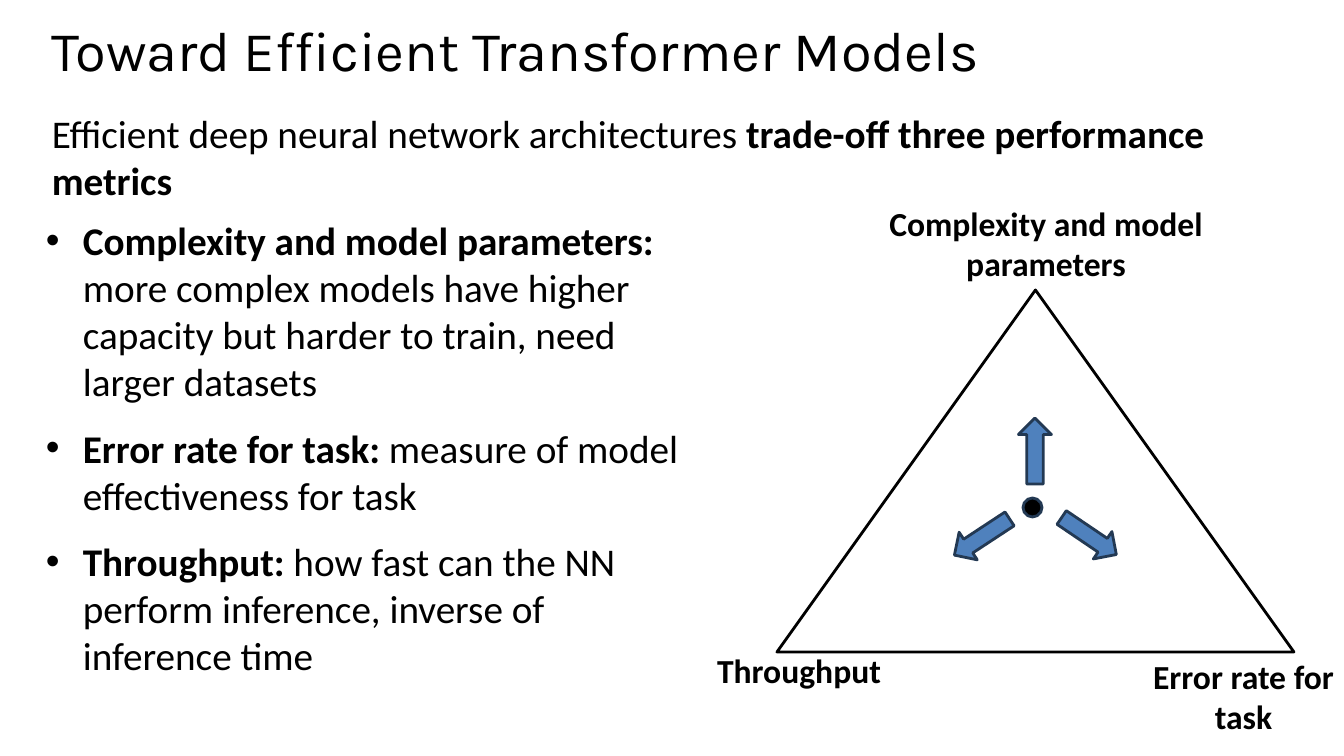
from pptx import Presentation
from pptx.dml.color import RGBColor
from pptx.enum.shapes import MSO_SHAPE as Shape
from pptx.enum.text import MSO_ANCHOR as Anchor, PP_ALIGN as Align
from pptx.oxml.ns import qn
from pptx.util import Pt
from lxml import etree

PX = 914400 / 100.8
BLACK = RGBColor(0x00, 0x00, 0x00)
NAVY = RGBColor(0x23, 0x39, 0x53)
BLUE = RGBColor(0x4F, 0x81, 0xBD)
BULLET_INDENT = 37
ARROW_LENGTH, ARROW_WIDTH = 66, 33

deck = Presentation()
deck.slide_width, deck.slide_height = round(1344 * PX), round(756 * PX)
slide = deck.slides.add_slide(deck.slide_layouts[6])


def add_text(box, paragraphs, size, font="Calibri", align=Align.LEFT, bullets=False):
    """Write paragraphs, each a list of (text, bold) runs, into a box given in px."""
    frame = slide.shapes.add_textbox(*(round(v * PX) for v in box)).text_frame
    frame.word_wrap = True
    for i, runs in enumerate(paragraphs):
        paragraph = frame.add_paragraph() if i else frame.paragraphs[0]
        paragraph.alignment = align
        if i:
            paragraph.space_before = Pt(14)
        if bullets:
            properties = paragraph._p.get_or_add_pPr()
            indent = round(BULLET_INDENT * PX)
            properties.set("marL", str(indent))
            properties.set("indent", str(-indent))
            etree.SubElement(properties, qn("a:buFont")).set("typeface", "Arial")
            etree.SubElement(properties, qn("a:buChar")).set("char", "•")
        for text, bold in runs:
            run = paragraph.add_run()
            run.text = text
            run.font.name, run.font.size, run.font.bold = font, Pt(size), bold
            run.font.color.rgb = BLACK
    return frame


def add_figure(preset, box, fill, line, rotation=0):
    figure = slide.shapes.add_shape(preset, *(round(v * PX) for v in box))
    figure.shadow.inherit = False
    figure.rotation = rotation
    if fill is None:
        figure.fill.background()
    else:
        figure.fill.solid()
        figure.fill.fore_color.rgb = fill
    figure.line.color.rgb = line
    figure.line.width = Pt(2)


title = add_text((42, 20, 1270, 70), [[("Toward Efficient Transformer Models", False)]], 40, "Karla")
title.vertical_anchor = Anchor.MIDDLE
title.paragraphs[0].line_spacing = 0.8

add_text((42, 104, 1270, 107), [[
    ("Efficient deep neural network architectures ", False),
    ("trade-off three performance metrics", True),
]], 28)

metrics = [
    ("Complexity and model parameters: ",
     "more complex models have higher capacity but harder to train, need larger datasets"),
    ("Error rate for task: ", "measure of model effectiveness for task"),
    ("Throughput:", " how fast can the NN perform inference, inverse of inference time"),
]
add_text((36, 211, 656, 483), [[(metric, True), (meaning, False)] for metric, meaning in metrics],
         28, bullets=True)

add_figure(Shape.ISOSCELES_TRIANGLE, (777, 290, 517, 362), None, BLACK)
corners = [
    ("Complexity and model parameters", (871, 198, 350, 107)),
    ("Error rate for task", (1142, 651, 203, 96)),
    ("Throughput", (686, 645, 226, 53)),
]
for corner, box in corners:
    add_text(box, [[(corner, True)]], 24, align=Align.CENTER)

add_figure(Shape.OVAL, (1023, 498, 19, 19), BLACK, NAVY)
for center_x, center_y, angle in [(1035, 451, 270), (1089, 536, 34.1), (982, 537, 146.7)]:
    add_figure(Shape.RIGHT_ARROW,
               (center_x - ARROW_LENGTH / 2, center_y - ARROW_WIDTH / 2, ARROW_LENGTH, ARROW_WIDTH),
               BLUE, NAVY, angle)

deck.save("out.pptx")
